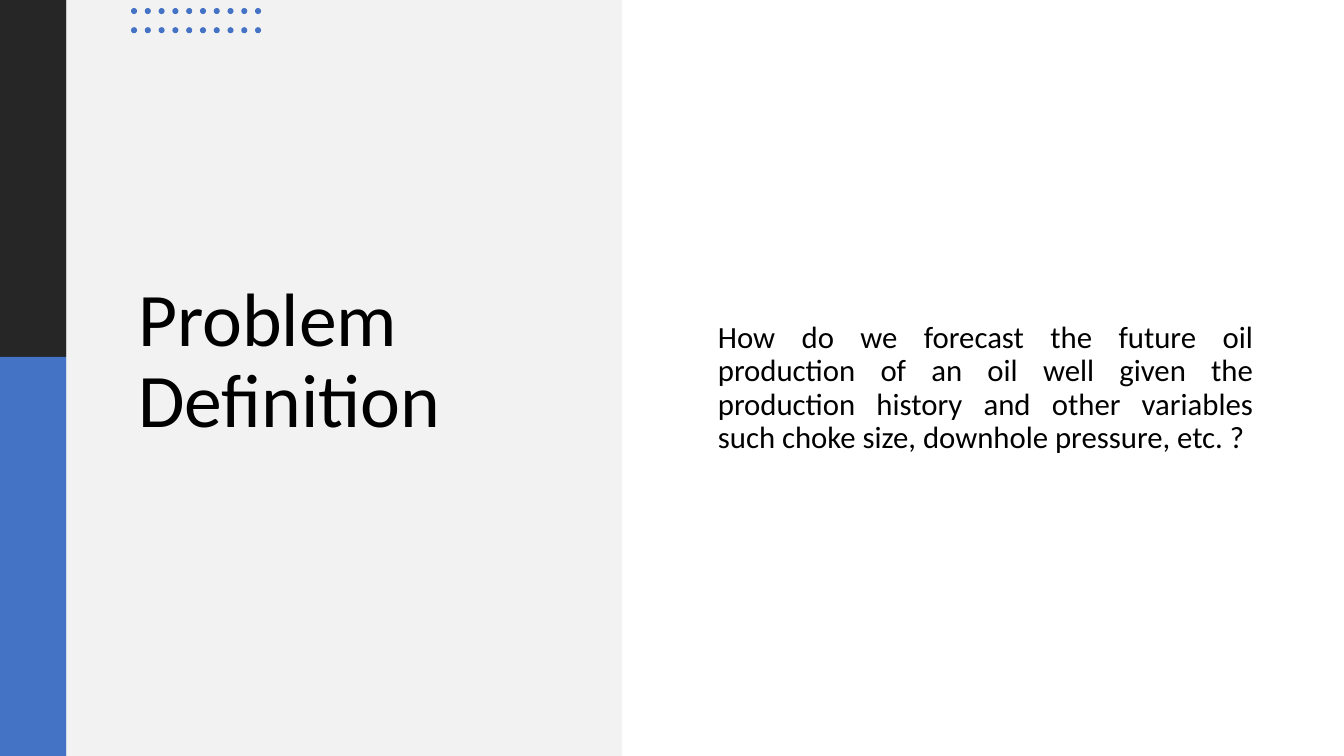
from dataclasses import dataclass

import pptx
import pptx.dml.color
import pptx.enum.shapes
import pptx.enum.text
import pptx.oxml.ns
import pptx.util
from lxml import etree

Inches = pptx.util.Inches
Align = pptx.enum.text.PP_ALIGN
Preset = pptx.enum.shapes.MSO_SHAPE


@dataclass(frozen=True)
class Theme:
    font: str = "Calibri"
    dark: str = "262626"
    accent: str = "4472C4"
    panel: str = "F2F2F2"
    text: str = "000000"
    title_size: int = 54
    body_size: int = 22
    line_spacing: float = 0.9
    space_before: int = 10


THEME = Theme()


@dataclass(frozen=True)
class Box:
    left: float
    top: float
    width: float
    height: float


def rgb(value):
    return pptx.dml.color.RGBColor.from_string(value)


def place(shape, box):
    shape.left, shape.top = Inches(box.left), Inches(box.top)
    shape.width, shape.height = Inches(box.width), Inches(box.height)


def add_filled(shapes, preset, box, color):
    filled = shapes.add_shape(preset, Inches(box.left), Inches(box.top),
                              Inches(box.width), Inches(box.height))
    filled.shadow.inherit = False
    filled.fill.solid()
    filled.fill.fore_color.rgb = rgb(color)
    filled.line.fill.background()


def add_side_bar(slide, box, split):
    """Stack a dark block above an accent block, meeting at split."""
    upper = Box(box.left, box.top, box.width, split)
    lower = Box(box.left, box.top + split, box.width, box.height - split)
    for block, color in ((upper, THEME.dark), (lower, THEME.accent)):
        add_filled(slide.shapes, Preset.RECTANGLE, block, color)


def add_dot_grid(slide, box, columns=10, rows=2, dot=0.06):
    grid = slide.shapes.add_group_shape()
    column_step = (box.width - dot) / (columns - 1)
    row_step = (box.height - dot) / (rows - 1)
    for column in range(columns):
        for row in range(rows):
            spot = Box(box.left + column * column_step,
                       box.top + row * row_step, dot, dot)
            add_filled(grid.shapes, Preset.OVAL, spot, THEME.accent)


def fill_placeholder(placeholder, box, wording, size, alignment):
    """Write one paragraph, centred vertically, in front of the panels."""
    place(placeholder, box)
    placeholder.element.getparent().append(placeholder.element)
    frame = placeholder.text_frame
    frame.text = wording
    frame.word_wrap = True
    frame.auto_size = pptx.enum.text.MSO_AUTO_SIZE.NONE
    frame.vertical_anchor = pptx.enum.text.MSO_ANCHOR.MIDDLE
    paragraph = frame.paragraphs[0]
    paragraph.alignment = alignment
    paragraph.line_spacing = THEME.line_spacing
    font = paragraph.runs[0].font
    font.name, font.size = THEME.font, pptx.util.Pt(size)
    font.color.rgb = rgb(THEME.text)
    return frame


def add_title_panel(slide, box):
    add_filled(slide.shapes, Preset.RECTANGLE, box, THEME.panel)
    fill_placeholder(slide.shapes.title,
                     Box(box.left + 0.61, box.top + 1.45, 4.29, 4.29),
                     "Problem Definition", THEME.title_size, Align.LEFT)
    add_dot_grid(slide, Box(box.left + 0.64, box.top + 0.08, 1.29, 0.25))


def add_question(slide, box):
    frame = fill_placeholder(
        slide.placeholders[1], box,
        "How do we forecast the future oil production of an oil well given "
        "the production history and other variables such choke size, "
        "downhole pressure, etc. ?",
        THEME.body_size, Align.JUSTIFY)
    frame.margin_top = Inches(0.56)
    frame.margin_right = Inches(0.17)
    paragraph = frame.paragraphs[0]
    paragraph.space_before = pptx.util.Pt(THEME.space_before)
    properties = paragraph._p.get_or_add_pPr()
    properties.set("marL", "0")
    properties.set("indent", "0")
    etree.SubElement(properties, pptx.oxml.ns.qn("a:buNone"))


def main():
    deck = pptx.Presentation()
    deck.slide_width, deck.slide_height = Inches(13.33), Inches(7.5)
    slide = deck.slides.add_slide(deck.slide_layouts[1])
    add_side_bar(slide, Box(0, 0, 0.66, 7.5), split=3.54)
    add_title_panel(slide, Box(0.66, 0, 5.51, 7.5))
    add_question(slide, Box(7.02, 0.55, 5.58, 6.1))
    deck.save("out.pptx")


if __name__ == "__main__":
    main()
